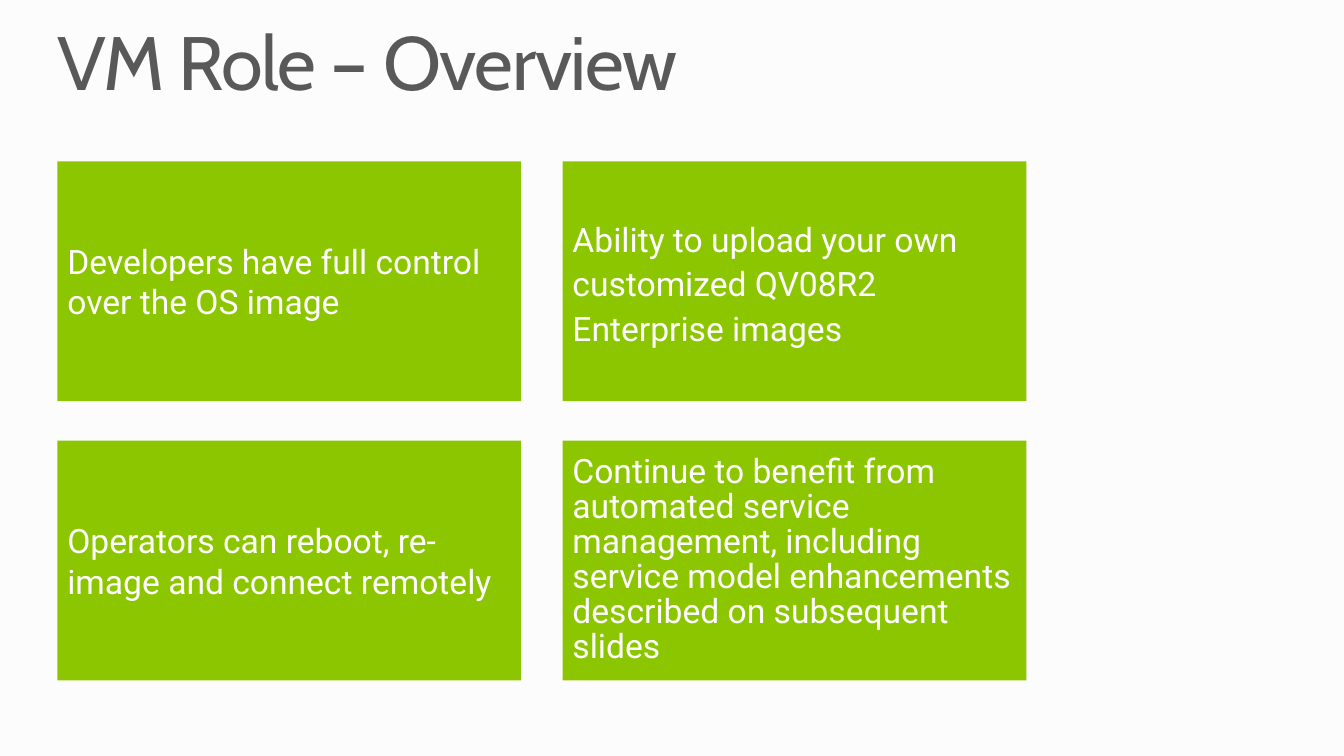
from pptx import Presentation
from pptx.dml.color import RGBColor
from pptx.enum.shapes import MSO_SHAPE
from pptx.enum.text import MSO_ANCHOR, MSO_AUTO_SIZE, PP_ALIGN
from pptx.util import Inches, Pt

COLORS = {"background": "FCFCFC", "title": "595959", "tile": "8CC600", "tile_text": "FFFFFF"}

# Tile text and line spacing, row by row
TILES = [
    ("Developers have full control over the OS image", None),
    ("Ability to upload your own customized QV08R2 Enterprise images", Pt(32)),
    ("Operators can reboot, re-image and connect remotely", None),
    ("Continue to benefit from automated service management, including service "
     "model enhancements described on subsequent slides", Pt(25)),
]


def color(name):
    return RGBColor.from_string(COLORS[name])


def style_paragraph(p, font, size, color_name, spacing):
    p.alignment = PP_ALIGN.LEFT
    if spacing is not None:
        p.line_spacing = spacing
    p.font.name = font
    p.font.size = Pt(size)
    p.font.color.rgb = color(color_name)


def add_title(s, text, left, top, width, height):
    sp = s.shapes.title
    sp.left, sp.top, sp.width, sp.height = map(Inches, (left, top, width, height))
    tf = sp.text_frame
    tf.margin_left = tf.margin_right = tf.margin_top = tf.margin_bottom = 0
    tf.vertical_anchor = MSO_ANCHOR.TOP
    tf.word_wrap = True
    tf.auto_size = MSO_AUTO_SIZE.SHAPE_TO_FIT_TEXT
    p = tf.paragraphs[0]
    r = p.add_run()
    r.text = text
    style_paragraph(p, "Cabin", 54, "title", 0.9)
    r._r.get_or_add_rPr().set("spc", "-100")  # tighter letters


def add_tile(s, text, spacing, left, top, width, height):
    sp = s.shapes.add_shape(MSO_SHAPE.RECTANGLE, *map(Inches, (left, top, width, height)))
    sp.shadow.inherit = False
    sp.fill.solid()
    sp.fill.fore_color.rgb = color("tile")
    sp.line.fill.background()
    tf = sp.text_frame
    tf.word_wrap = True
    tf.vertical_anchor = MSO_ANCHOR.MIDDLE
    p = tf.paragraphs[0]
    p.text = text
    style_paragraph(p, "Roboto", 24, "tile_text", spacing)


def add_tile_grid(s, tiles, left, top, width, height, columns=2, gap_x=0.41, gap_y=0.39):
    rows = len(tiles) // columns
    w = (width - gap_x * (columns - 1)) / columns
    h = (height - gap_y * (rows - 1)) / rows
    for i, (text, spacing) in enumerate(tiles):
        row, col = divmod(i, columns)
        add_tile(s, text, spacing, left + col * (w + gap_x), top + row * (h + gap_y), w, h)


def main():
    prs = Presentation()
    prs.slide_width, prs.slide_height = Inches(13.33), Inches(7.5)
    s = prs.slides.add_slide(prs.slide_layouts[5])
    s.background.fill.solid()
    s.background.fill.fore_color.rgb = color("background")
    add_title(s, "VM Role – Overview", 0.57, 0.25, 12.19, 0.82)
    add_tile_grid(s, TILES, 0.57, 1.6, 9.61, 5.15)
    prs.save("out.pptx")


if __name__ == "__main__":
    main()
